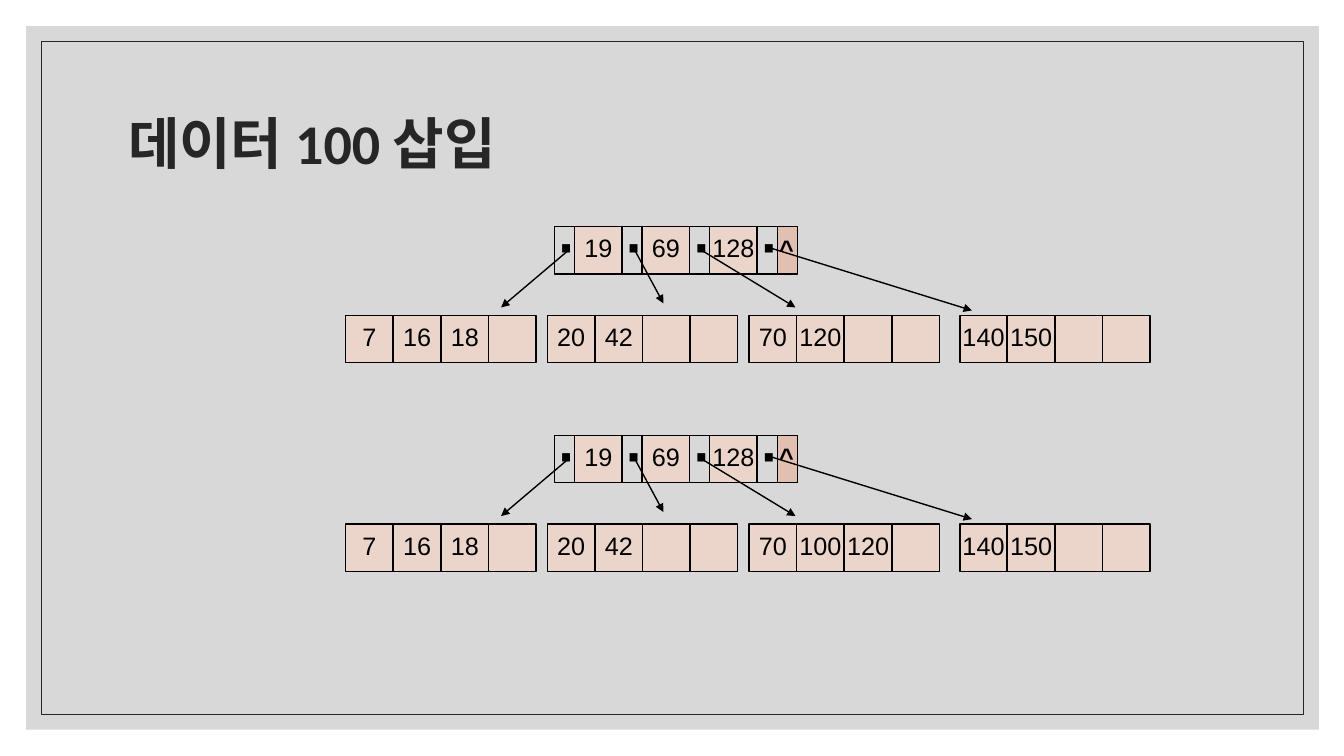
import pptx
import pptx.util
import pptx.dml.color
import pptx.enum.shapes
import pptx.enum.text
import pptx.oxml.ns
import lxml.etree
from dataclasses import dataclass

Inches = pptx.util.Inches
Pt = pptx.util.Pt
Align = pptx.enum.text.PP_ALIGN
Anchor = pptx.enum.text.MSO_ANCHOR

TITLE = "데이터 100 삽입"
ROOT_KEYS = ["19", "69", "128"]
END_MARK = "^"
POINTER_MARK = "·"
TREES = [
    (2.25, [["7", "16", "18", ""], ["20", "42", "", ""],
            ["70", "120", "", ""], ["140", "150", "", ""]]),
    (4.32, [["7", "16", "18", ""], ["20", "42", "", ""],
            ["70", "100", "120", ""], ["140", "150", "", ""]]),
]
LEAF_LEFTS = [3.43, 5.43, 7.43, 9.52]
ARROWS = [(0.24, 4.97, 0.8), (0.24, 6.58, 0.76), (0.24, 7.89, 0.8), (0.21, 9.64, 0.83)]

ROOT_LEFT = 5.5
ROOT_PITCH = 0.67
POINTER_WIDTH = 0.2
CELL = 0.47
CELL_PITCH = 0.4725
LEAF_DROP = 0.88


@dataclass(frozen=True)
class Theme:
    panel: str = "BFBFBF"
    dark: str = "262626"
    key: str = "EBD5CB"
    end: str = "E1C0B1"
    ink: str = "000000"
    title_font: str = "Calibri"
    body_font: str = "Arial"
    large: int = 40
    small: int = 18


THEME = Theme()


def color(value):
    return pptx.dml.color.RGBColor.from_string(value)


def add_box(slide, left, top, width, height, fill=None, line=None, weight=1):
    shape = slide.shapes.add_shape(
        pptx.enum.shapes.MSO_SHAPE.RECTANGLE,
        Inches(left), Inches(top), Inches(width), Inches(height))
    shape.shadow.inherit = False
    if fill:
        shape.fill.solid()
        shape.fill.fore_color.rgb = color(fill)
    else:
        shape.fill.background()
    if line:
        shape.line.color.rgb = color(line)
        shape.line.width = Pt(weight)
    else:
        shape.line.fill.background()
    return shape


def write(shape, text, size, bold=False, align=Align.LEFT, anchor=Anchor.TOP):
    frame = shape.text_frame
    frame.word_wrap = False
    frame.vertical_anchor = anchor
    paragraph = frame.paragraphs[0]
    paragraph.text = text
    paragraph.alignment = align
    paragraph.line_spacing = 0.8
    paragraph.space_before = Pt(size * 0.2)
    paragraph.font.name = THEME.body_font
    paragraph.font.size = Pt(size)
    paragraph.font.bold = bold
    paragraph.font.color.rgb = color(THEME.ink)


def add_mark(slide, left, top, width, height, text, size):
    shape = slide.shapes.add_textbox(Inches(left), Inches(top), Inches(width), Inches(height))
    write(shape, text, size, bold=True)


def add_key(slide, left, top, text):
    shape = add_box(slide, left, top, CELL, CELL, THEME.key, THEME.ink)
    if text:
        write(shape, text, THEME.small, align=Align.CENTER, anchor=Anchor.MIDDLE)


def add_arrow(slide, start, end):
    connector = slide.shapes.add_connector(
        pptx.enum.shapes.MSO_CONNECTOR.STRAIGHT, *map(Inches, start + end))
    connector.line.color.rgb = color(THEME.ink)
    connector.line.width = Pt(1)
    qn = pptx.oxml.ns.qn
    lxml.etree.SubElement(connector.line._get_or_add_ln(), qn("a:tailEnd"), type="triangle")
    lxml.etree.SubElement(connector._element.spPr, qn("a:effectLst"))


def add_tree(slide, top, leaves):
    pointer_lefts = [ROOT_LEFT + ROOT_PITCH * index for index in range(len(ARROWS))]
    end_left = pointer_lefts[-1] + POINTER_WIDTH
    add_box(slide, end_left, top, POINTER_WIDTH, CELL, THEME.end, THEME.ink)
    for left, key in zip(pointer_lefts, ROOT_KEYS):
        add_key(slide, left + POINTER_WIDTH, top, key)
    for leaf_left, keys in zip(LEAF_LEFTS, leaves):
        for index, key in enumerate(keys):
            add_key(slide, leaf_left + CELL_PITCH * index, top + LEAF_DROP, key)
    add_mark(slide, end_left - 0.08, top + 0.07, 0.38, 0.34, END_MARK, THEME.small)
    for left, (start_drop, end_x, end_drop) in zip(pointer_lefts, ARROWS):
        add_box(slide, left, top, POINTER_WIDTH, CELL, line=THEME.ink)
        add_mark(slide, left - 0.06, top - 0.07, 0.35, 0.64, POINTER_MARK, THEME.large)
        add_arrow(slide, (left + 0.13, top + start_drop), (end_x, top + end_drop))


def add_background(slide):
    panel = add_box(slide, 0.26, 0.26, 12.82, 6.98, THEME.panel)
    qn = pptx.oxml.ns.qn
    panel_color = panel._element.spPr.find(qn("a:solidFill")).find(qn("a:srgbClr"))
    lxml.etree.SubElement(panel_color, qn("a:alpha"), val="60000")
    add_box(slide, 0.41, 0.41, 12.52, 6.68, line=THEME.dark, weight=0.5)


def add_title(slide):
    title = slide.shapes.title
    slide.shapes._spTree.append(title._element)
    title.left, title.top, title.width, title.height = map(Inches, (1.17, 0.7, 11, 1.5))
    title.text_frame.vertical_anchor = Anchor.MIDDLE
    paragraph = title.text_frame.paragraphs[0]
    paragraph.text = TITLE
    paragraph.alignment = Align.LEFT
    paragraph.line_spacing = 0.9
    paragraph.font.name = THEME.title_font
    paragraph.font.size = Pt(THEME.large)
    paragraph.font.bold = True
    paragraph.font.color.rgb = color(THEME.dark)


def main():
    presentation = pptx.Presentation()
    presentation.slide_width = Inches(13.33)
    presentation.slide_height = Inches(7.5)
    slide = presentation.slides.add_slide(presentation.slide_layouts[5])
    add_background(slide)
    add_title(slide)
    for top, leaves in TREES:
        add_tree(slide, top, leaves)
    presentation.save("out.pptx")


if __name__ == "__main__":
    main()
